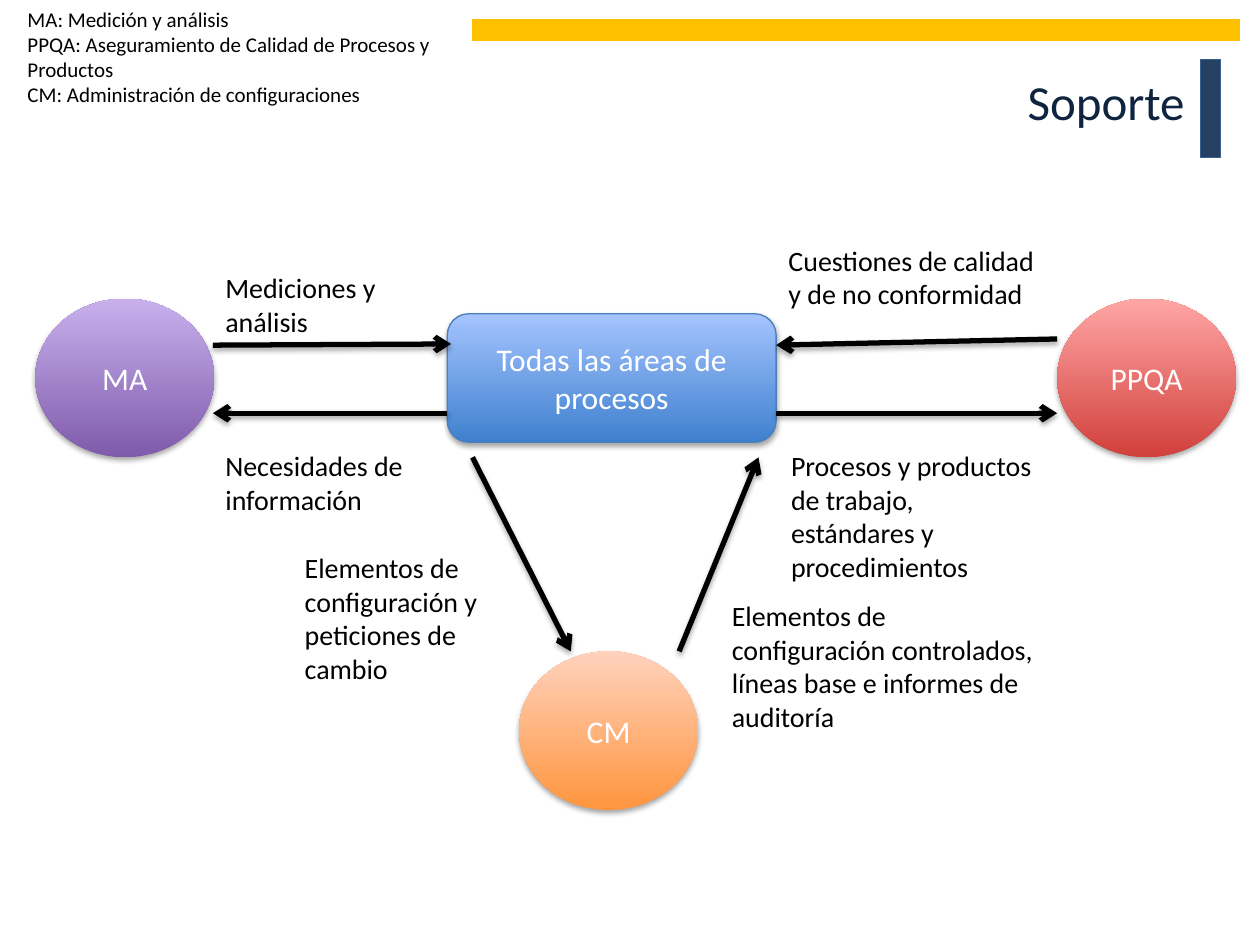
from lxml import etree
from pptx import Presentation
from pptx.dml.color import RGBColor
from pptx.enum.shapes import MSO_CONNECTOR, MSO_SHAPE
from pptx.enum.text import MSO_ANCHOR, PP_ALIGN
from pptx.oxml.ns import qn
from pptx.util import Inches, Pt

RECTANGLE = MSO_SHAPE.RECTANGLE
ROUNDED = MSO_SHAPE.ROUNDED_RECTANGLE
OVAL = MSO_SHAPE.OVAL
STRAIGHT = MSO_CONNECTOR.STRAIGHT
MIDDLE = MSO_ANCHOR.MIDDLE
LEFT, CENTER, RIGHT = PP_ALIGN.LEFT, PP_ALIGN.CENTER, PP_ALIGN.RIGHT

BLACK = RGBColor(0x00, 0x00, 0x00)
WHITE = RGBColor(0xFF, 0xFF, 0xFF)
NAVY = RGBColor(0x25, 0x40, 0x61)
NAVY_EDGE = RGBColor(0x37, 0x60, 0x92)
TITLE_NAVY = RGBColor(0x0F, 0x24, 0x3E)
GOLD = RGBColor(0xFF, 0xC0, 0x00)
BLUE_EDGE = RGBColor(0x4B, 0x7E, 0xBC)
BLUES = RGBColor(0x3F, 0x80, 0xCE), RGBColor(0xA4, 0xC4, 0xFF)
PURPLES = RGBColor(0x7F, 0x5B, 0xAB), RGBColor(0xC8, 0xB0, 0xED)
REDS = RGBColor(0xD1, 0x40, 0x3C), RGBColor(0xFF, 0xA6, 0xA5)
ORANGES = RGBColor(0xFF, 0x95, 0x3E), RGBColor(0xFF, 0xD2, 0xBD)

CIRCLE_WIDTH, CIRCLE_HEIGHT = 14.2, 16.8
CIRCLE_TOP, CM_TOP = 31.6, 68.93
BOX_LEFT, BOX_RIGHT = 35.5, 61.6
MA_RIGHT, PPQA_LEFT = 16.9, 83.9
RETURN_ROW = 43.73
CIRCLE_BOTTOM = CIRCLE_TOP + CIRCLE_HEIGHT


class SlideBuilder:
    font = "Calibri"

    def __init__(self, presentation):
        self.width = presentation.slide_width
        self.height = presentation.slide_height
        self.slide = presentation.slides.add_slide(presentation.slide_layouts[6])

    def place(self, *shares):
        sides = (self.width, self.height) * 2
        return [round(side * share / 100) for side, share in zip(sides, shares)]

    def add_lines(self, shape, lines, size, color, alignment):
        frame = shape.text_frame
        frame.word_wrap = True
        for index, line in enumerate(lines):
            paragraph = frame.add_paragraph() if index else frame.paragraphs[0]
            paragraph.alignment = alignment
            run = paragraph.add_run()
            run.text = line
            run.font.name = self.font
            run.font.size = Pt(size)
            run.font.color.rgb = color

    def text(self, area, lines, size=16, color=BLACK, alignment=LEFT):
        box = self.slide.shapes.add_textbox(*self.place(*area))
        self.add_lines(box, lines, size, color, alignment)

    def add_shadow(self, shape):
        properties = shape._element.spPr
        effects = properties.find(qn("a:effectLst"))
        if effects is None:
            effects = etree.SubElement(properties, qn("a:effectLst"))
        shadow = etree.SubElement(
            effects, qn("a:outerShdw"), blurRad=str(Pt(3.1)), dist=str(Pt(1.8)),
            dir="5400000", rotWithShape="0")
        color = etree.SubElement(shadow, qn("a:srgbClr"), val=str(BLACK))
        etree.SubElement(color, qn("a:alpha"), val="35000")

    def outline(self, shape, color):
        if color is None:
            shape.line.fill.background()
        else:
            shape.line.color.rgb = color
            shape.line.width = Pt(0.75)

    def bar(self, area, fill, edge):
        bar = self.slide.shapes.add_shape(RECTANGLE, *self.place(*area))
        bar.shadow.inherit = False
        bar.fill.solid()
        bar.fill.fore_color.rgb = fill
        self.outline(bar, edge)

    def node(self, kind, area, label, colors, edge=None):
        node = self.slide.shapes.add_shape(kind, *self.place(*area))
        node.fill.gradient()
        node.fill.gradient_angle = 90
        for stop, color in zip(node.fill.gradient_stops, colors):
            stop.color.rgb = color
        self.outline(node, edge)
        node.shadow.inherit = False
        self.add_shadow(node)
        node.text_frame.vertical_anchor = MIDDLE
        self.add_lines(node, [label], 18, WHITE, CENTER)

    def circle(self, left, top, label, colors):
        self.node(OVAL, (left, top, CIRCLE_WIDTH, CIRCLE_HEIGHT), label, colors)

    def arrow(self, start, end):
        arrow = self.slide.shapes.add_connector(STRAIGHT, *self.place(*start, *end))
        arrow.line.color.rgb = BLACK
        arrow.line.width = Pt(3)
        line = arrow._element.spPr.find(qn("a:ln"))
        etree.SubElement(line, qn("a:tailEnd"), type="arrow")
        self.add_shadow(arrow)


def main():
    presentation = Presentation()
    presentation.slide_width = Inches(10)
    presentation.slide_height = Inches(7.5)
    builder = SlideBuilder(presentation)

    builder.bar((95.3, 6.27, 1.6, 10.4), NAVY, NAVY_EDGE)
    builder.bar((37.5, 2.13, 60.9, 2.13), GOLD, GOLD)
    builder.text((5, 6.93, 90, 16.67), ["Soporte"], 28, TITLE_NAVY, RIGHT)
    builder.text((1.2, 0, 34.6, 12.13), [
        "MA: Medición y análisis",
        "PPQA: Aseguramiento de Calidad de Procesos y Productos",
        "CM: Administración de configuraciones",
    ], 12)

    builder.node(ROUNDED, (BOX_LEFT, 33.2, BOX_RIGHT - BOX_LEFT, 13.6),
                 "Todas las áreas de procesos", BLUES, BLUE_EDGE)
    builder.circle(2.8, CIRCLE_TOP, "MA", PURPLES)
    builder.circle(PPQA_LEFT, CIRCLE_TOP, "PPQA", REDS)
    builder.circle(41.2, CM_TOP, "CM", ORANGES)

    for start, end in [
        ((MA_RIGHT, 36.53), (35.8, 36.4)),
        ((BOX_LEFT, RETURN_ROW), (MA_RIGHT, RETURN_ROW)),
        ((PPQA_LEFT, 35.87), (BOX_RIGHT, 36.53)),
        ((BOX_RIGHT, RETURN_ROW), (PPQA_LEFT, RETURN_ROW)),
        ((37.5, CIRCLE_BOTTOM), (45.3, CM_TOP)),
        ((53.9, CM_TOP), (60.2, CIRCLE_BOTTOM)),
    ]:
        builder.arrow(start, end)

    for area, label in [
        ((MA_RIGHT, 28, 17.3, 8.53), "Mediciones y análisis"),
        ((MA_RIGHT, 46.8, 17.9, 8.53), "Necesidades de información"),
        ((BOX_RIGHT, 25.07, 22.3, 8.53), "Cuestiones de calidad y de no conformidad"),
        ((61.8, 46.8, 22, 15.73),
         "Procesos y productos de trabajo, estándares y procedimientos"),
        ((23.2, 57.6, 17.9, 15.73),
         "Elementos de configuración y peticiones de cambio"),
        ((57.1, 62.67, 26.8, 15.73),
         "Elementos de configuración controlados, líneas base e informes de auditoría"),
    ]:
        builder.text(area, [label])

    presentation.save("out.pptx")


if __name__ == "__main__":
    main()
